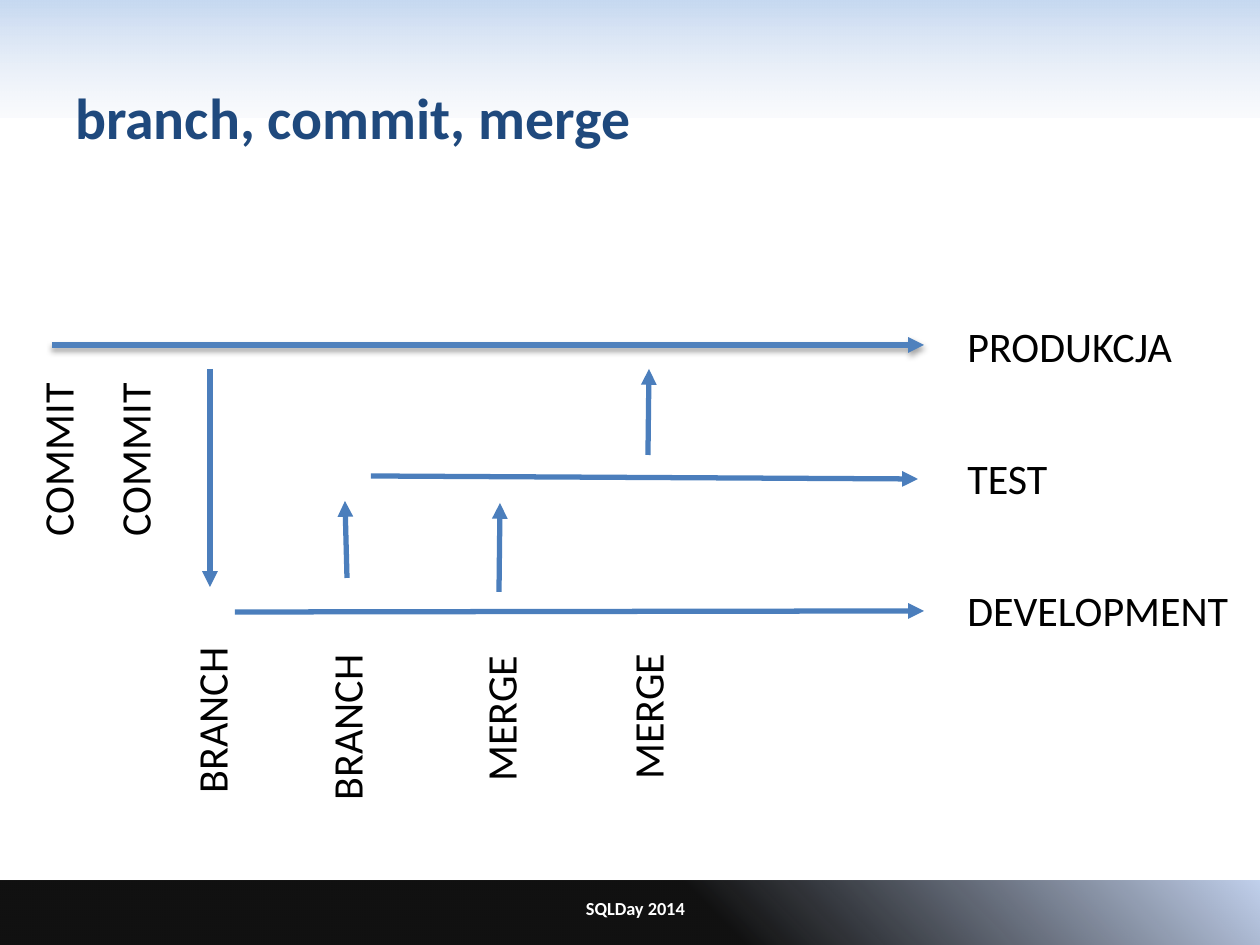
from lxml import etree
from pptx import Presentation
from pptx.dml.color import RGBColor
from pptx.enum.shapes import MSO_CONNECTOR, MSO_SHAPE
from pptx.enum.text import MSO_ANCHOR, MSO_AUTO_SIZE, PP_ALIGN
from pptx.oxml import parse_xml
from pptx.oxml.ns import nsdecls, qn
from pptx.util import Pt

PX = 914400 / 126
COLORS = {
    "title": "1F497D", "text": "000000", "footer": "FFFFFF",
    "main": "4F81BD", "arrow": "4B7EBC",
    "sky": "C6D9F1", "mist": "E1E8F5", "night": "000000", "dawn": "C2D1ED",
}

prs = Presentation()
prs.slide_width, prs.slide_height = round(1260 * PX), round(945 * PX)
s = prs.slides.add_slide(prs.slide_layouts[6])


def add_text(text, x, y, w, h, size=24, color="text", bold=False,
             align=PP_ALIGN.LEFT, anchor=MSO_ANCHOR.TOP, wrap=False, rotation=0):
    box = s.shapes.add_textbox(*[round(v * PX) for v in (x, y, w, h)])
    box.rotation = rotation
    tf = box.text_frame
    tf.word_wrap = wrap
    tf.auto_size = MSO_AUTO_SIZE.NONE if wrap else MSO_AUTO_SIZE.SHAPE_TO_FIT_TEXT
    tf.vertical_anchor = anchor
    p = tf.paragraphs[0]
    p.alignment = align
    r = p.add_run()
    r.text = text
    r.font.name, r.font.size, r.font.bold = "Calibri", Pt(size), bold
    r.font.color.rgb = RGBColor.from_string(COLORS[color])


# Header and footer bands: top, height, angle, (position %, colour, opacity %)
bands = [
    (0, 118, 90, [(0, "sky", 100), (100, "mist", 16)]),
    (881, 64, 315, [(56, "night", 93), (100, "dawn", 100)]),
]
for top, height, angle, stops in bands:
    sp = s.shapes.add_shape(MSO_SHAPE.RECTANGLE, 0, round(top * PX),
                            prs.slide_width, round(height * PX))
    sp.shadow.inherit = False
    sp.line.fill.background()
    stop_xml = "".join(
        f'<a:gs pos="{pos * 1000}"><a:srgbClr val="{COLORS[color]}">'
        f'<a:alpha val="{opacity * 1000}"/></a:srgbClr></a:gs>'
        for pos, color, opacity in stops)
    sp.element.spPr.find(qn("a:prstGeom")).addnext(parse_xml(
        f'<a:gradFill {nsdecls("a")} rotWithShape="1"><a:gsLst>{stop_xml}</a:gsLst>'
        f'<a:lin ang="{angle * 60000}" scaled="0"/></a:gradFill>'))

add_text("branch, commit, merge", 63, 38, 1134, 157, size=33, color="title",
         bold=True, anchor=MSO_ANCHOR.MIDDLE, wrap=True)
add_text("SQLDay 2014", 357, 882, 557, 53, size=10.5, color="footer", bold=True,
         align=PP_ALIGN.CENTER, anchor=MSO_ANCHOR.MIDDLE, wrap=True)

# Timelines first, then the branch and merge arrows between them
arrows = [
    (52, 345, 924, 345, "main"),
    (371, 476, 918, 479, "arrow"),
    (235, 612, 924, 611, "arrow"),
    (210, 369, 210, 587, "arrow"),
    (347, 578, 345, 501, "arrow"),
    (499, 592, 500, 503, "arrow"),
    (648, 455, 649, 369, "arrow"),
]
for *ends, color in arrows:
    c = s.shapes.add_connector(MSO_CONNECTOR.STRAIGHT, *[round(v * PX) for v in ends])
    c.line.width = Pt(3)
    c.line.color.rgb = RGBColor.from_string(COLORS[color])
    etree.SubElement(c.line._get_or_add_ln(), qn("a:tailEnd"), type="triangle")
    effects = etree.SubElement(c.element.spPr, qn("a:effectLst"))
    if color == "main":
        shadow = etree.SubElement(effects, qn("a:outerShdw"), blurRad=str(Pt(3.1)),
                                  dist=str(Pt(1.8)), dir="5400000", rotWithShape="0")
        black = etree.SubElement(shadow, qn("a:srgbClr"), val=COLORS["night"])
        etree.SubElement(black, qn("a:alpha"), val="35000")

for i, (name, width) in enumerate([("PRODUKCJA", 232), ("TEST", 106),
                                   ("DEVELOPMENT", 289)]):
    add_text(name, 955, 314 + 132 * i, width, 63)

# Upright labels, placed by their centres
label_widths = {"COMMIT": 179, "BRANCH": 173, "MERGE": 152}
for name, cx, cy in [("COMMIT", 57, 459), ("COMMIT", 134, 459), ("BRANCH", 211, 719),
                     ("BRANCH", 346, 726), ("MERGE", 500, 718), ("MERGE", 647, 716)]:
    w, h = label_widths[name], 63
    add_text(name, cx - w / 2, cy - h / 2, w, h, rotation=270)

prs.save("out.pptx")
